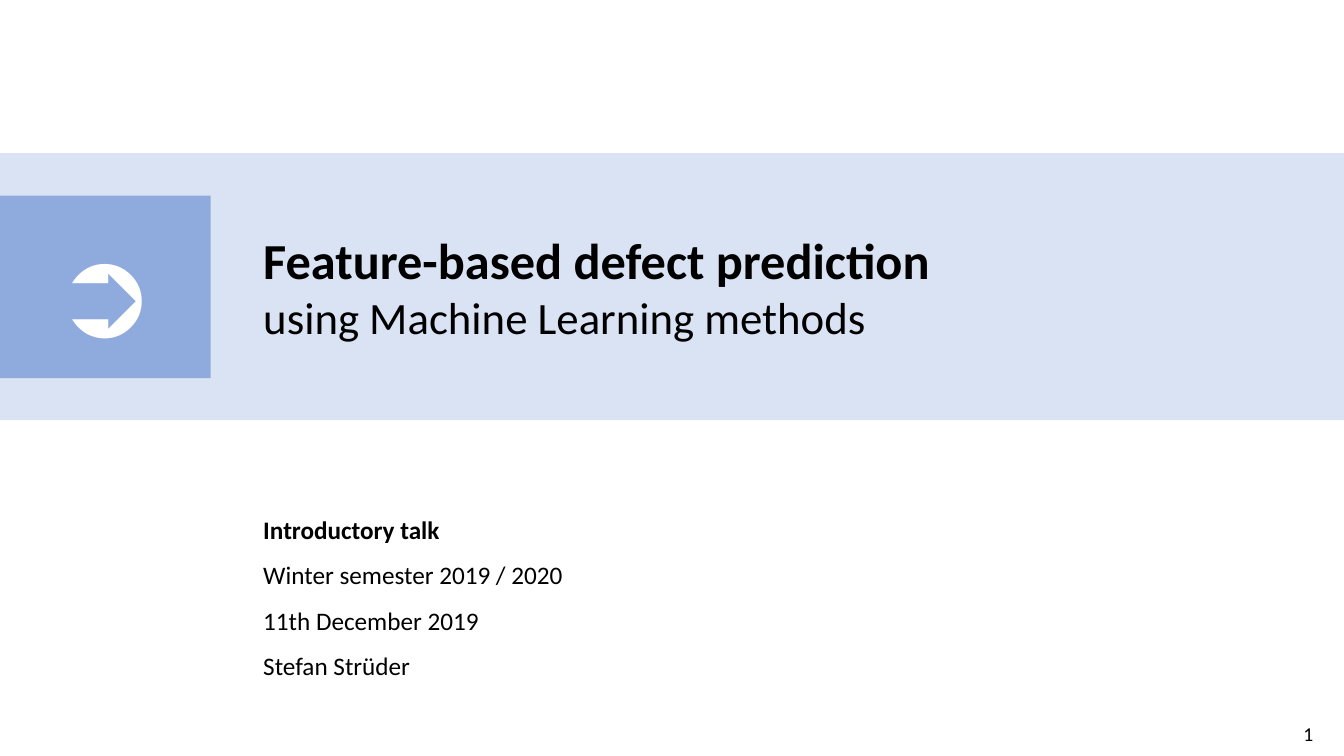
from pptx import Presentation
from pptx import util as u
from pptx.dml import color
from pptx.enum import shapes, text

FONT = "Calibri"
WIDE, HIGH = 33.87, 19.05
LEFT = 6.38
LEAD = text.PP_ALIGN.LEFT
TOP = text.MSO_ANCHOR.TOP
MID = text.MSO_ANCHOR.MIDDLE


def paint(hue):
    return color.RGBColor.from_string(hue)


def place(shape, box):
    shape.left, shape.top, shape.width, shape.height = map(u.Cm, box)


def block(slide, box, hue):
    shape = slide.shapes.add_shape(shapes.MSO_SHAPE.RECTANGLE, *map(u.Cm, box))
    shape.shadow.inherit = False
    shape.fill.solid()
    shape.fill.fore_color.rgb = paint(hue)
    shape.line.fill.background()
    return shape


def write(shape, lines, align=LEAD, anchor=TOP, space=1.0, hue="000000"):
    frame = shape.text_frame
    frame.word_wrap = True
    frame.auto_size = text.MSO_AUTO_SIZE.NONE
    frame.vertical_anchor = anchor
    for i, (words, size, bold) in enumerate(lines):
        para = frame.add_paragraph() if i else frame.paragraphs[0]
        para.alignment = align
        para.line_spacing = space
        para.space_before = u.Pt(0)
        run = para.add_run()
        run.text = words
        run.font.name = FONT
        run.font.size = u.Pt(size)
        run.font.bold = bold
        run.font.color.rgb = paint(hue)


def main():
    deck = Presentation()
    deck.slide_width, deck.slide_height = u.Cm(WIDE), u.Cm(HIGH)
    slide = deck.slides.add_slide(deck.slide_layouts[0])
    title, body = slide.placeholders

    block(slide, (0, 3.86, WIDE, 6.73), "DAE3F3")
    badge = block(slide, (0, 4.93, 5.31, 4.6), "8FAADC")
    write(badge, [("➲", 88, False)], text.PP_ALIGN.CENTER, MID, hue="FFFFFF")

    tree = slide.shapes.element
    tree.append(title.element)
    tree.append(body.element)

    place(title, (LEFT, 5.64, 17.5, 3.18))
    write(title, [
        ("Feature-based defect prediction", 36, True),
        ("using Machine Learning methods", 32, False),
    ])
    place(body, (LEFT, 12.45, 8.15, 4.75))
    write(body, [
        ("Introductory talk", 18, True),
        ("Winter semester 2019 / 2020", 18, False),
        ("11th December 2019", 18, False),
        ("Stefan Strüder", 18, False),
    ], space=1.5)

    page = slide.shapes.add_textbox(*map(u.Cm, (24.23, 18.06, 9.12, 0.86)))
    write(page, [("1", 14, False)], text.PP_ALIGN.RIGHT, MID)

    deck.save("out.pptx")


if __name__ == "__main__":
    main()
